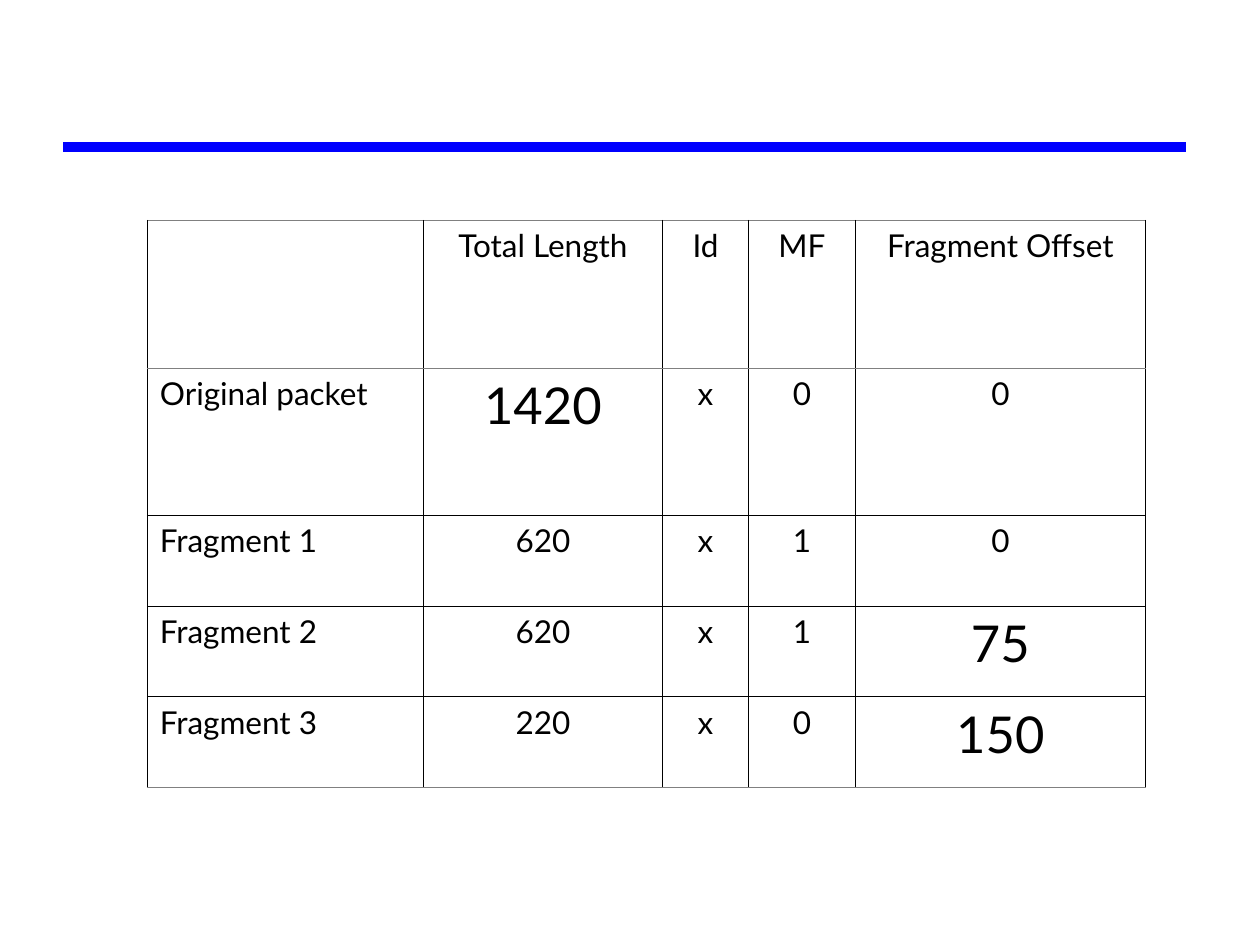
"""Build a slide with a table of IP packet fragmentation values."""
from lxml.etree import SubElement
from pptx import Presentation
from pptx.dml.color import RGBColor
from pptx.enum.shapes import MSO_CONNECTOR
from pptx.enum.text import PP_ALIGN
from pptx.oxml.ns import qn
from pptx.util import Pt

BLACK = RGBColor(0x00, 0x00, 0x00)
GRAY = RGBColor(0x80, 0x80, 0x80)
BLUE = RGBColor(0x00, 0x00, 0xFF)
THIN, THICK = Pt(0.45), Pt(0.96)

ROWS = [
    ["", "Total Length", "Id", "MF", "Fragment Offset"],
    ["Original packet", "1420", "x", "0", "0"],
    ["Fragment 1", "620", "x", "1", "0"],
    ["Fragment 2", "620", "x", "1", "75"],
    ["Fragment 3", "220", "x", "0", "150"],
]
ANSWERS = {"1420", "75", "150"}
COLUMN_WIDTHS = [157.7, 136.8, 49, 61.2, 165.6]
ROW_HEIGHTS = [84.24, 84.24, 51.84, 51.84, 51.84]
RULES = [(GRAY, THICK), (GRAY, THIN), (BLACK, THIN),
         (BLACK, THIN), (BLACK, THIN), (GRAY, THICK)]


def add_border(cell, side, color, width):
    border = SubElement(cell._tc.get_or_add_tcPr(), qn(f"a:ln{side}"), w=str(width))
    SubElement(SubElement(border, qn("a:solidFill")), qn("a:srgbClr"), val=str(color))


presentation = Presentation()
presentation.slide_width, presentation.slide_height = Pt(720), Pt(540)
slide = presentation.slides.add_slide(presentation.slide_layouts[6])

title_rule = slide.shapes.add_connector(
    MSO_CONNECTOR.STRAIGHT, Pt(36), Pt(84), Pt(678), Pt(84))
title_rule.line.color.rgb = BLUE
title_rule.line.width = Pt(6)
SubElement(title_rule._element.spPr, qn("a:effectLst"))

fragments = slide.shapes.add_table(
    len(ROWS), len(COLUMN_WIDTHS), Pt(84.2), Pt(126),
    Pt(sum(COLUMN_WIDTHS)), Pt(sum(ROW_HEIGHTS))).table
fragments.first_row = False
fragments.horz_banding = False
for column, width in zip(fragments.columns, COLUMN_WIDTHS):
    column.width = Pt(width)
for row, height in zip(fragments.rows, ROW_HEIGHTS):
    row.height = Pt(height)

for row_index, values in enumerate(ROWS):
    for column_index, value in enumerate(values):
        cell = fragments.cell(row_index, column_index)
        add_border(cell, "L", BLACK, THIN)
        add_border(cell, "R", BLACK, THIN)
        add_border(cell, "T", *RULES[row_index])
        add_border(cell, "B", *RULES[row_index + 1])
        cell.fill.background()
        if not value:
            continue
        cell.text_frame.text = value
        paragraph = cell.text_frame.paragraphs[0]
        paragraph.alignment = PP_ALIGN.CENTER if column_index else PP_ALIGN.LEFT
        font = paragraph.runs[0].font
        font.name = "Lato"
        font.size = Pt(29 if value in ANSWERS else 18)
        font.color.rgb = BLACK

presentation.save("out.pptx")
